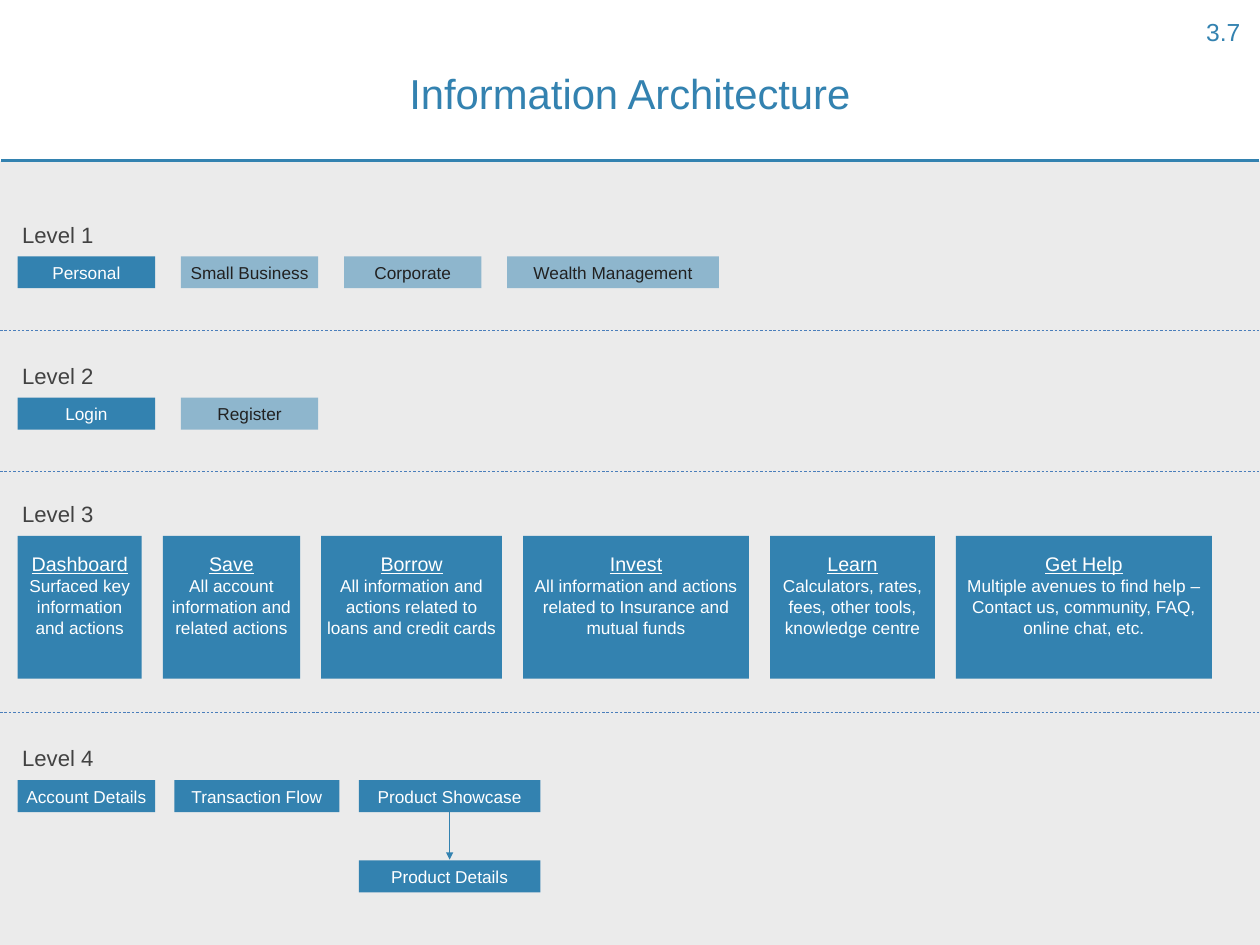
from dataclasses import dataclass

from lxml.etree import SubElement
from pptx import Presentation
from pptx.dml.color import RGBColor
from pptx.enum.dml import MSO_LINE
from pptx.enum.shapes import MSO_CONNECTOR, MSO_SHAPE
from pptx.enum.text import MSO_ANCHOR, PP_ALIGN
from pptx.oxml.ns import qn
from pptx.util import Pt


@dataclass(frozen=True)
class Theme:
    font: str = "Arial"
    blue: str = "3382B0"
    divider: str = "4A7EBB"
    panel: str = "EBEBEB"
    white: str = "FFFFFF"
    dark: str = "212121"
    label: str = "424242"
    title_size: int = 34
    number_size: int = 20
    label_size: int = 18
    heading_size: int = 16
    body_size: int = 14


THEME = Theme()
SLIDE_WIDTH, SLIDE_HEIGHT = 1024, 768
LEFT = 14.4
ROW_DROP = 32.3  # from the top of a level label to its boxes
BUTTON_HEIGHT = 26
CARD_HEIGHT = 116
BUTTON_WIDTH = 111.6
PANEL_TOP = 131

# Top of each level label
LEVEL_TOPS = {"Level 1": 176, "Level 2": 290.9, "Level 3": 403.2, "Level 4": 601.7}
DIVIDER_TOPS = (268.5, 383, 579)

# Buttons: text, width, whether it is on the selected route
LEVEL_1 = [
    ("Personal", BUTTON_WIDTH, True),
    ("Small Business", BUTTON_WIDTH, False),
    ("Corporate", BUTTON_WIDTH, False),
    ("Wealth Management", 172, False),
]
LEVEL_2 = [("Login", BUTTON_WIDTH, True), ("Register", BUTTON_WIDTH, False)]
LEVEL_4 = [
    ("Account Details", BUTTON_WIDTH, True),
    ("Transaction Flow", 134, True),
    ("Product Showcase", 147.6, True),
]

# Cards: heading, width, description
LEVEL_3 = [
    ("Dashboard", 100.8, "Surfaced key information and actions"),
    ("Save", 111.6, "All account information and related actions"),
    ("Borrow", 147, "All information and actions related to loans and credit cards"),
    ("Invest", 183.6, "All information and actions related to Insurance and mutual funds"),
    ("Learn", 134, "Calculators, rates, fees, other tools, knowledge centre"),
    ("Get Help", 208, "Multiple avenues to find help – Contact us, community, FAQ, online chat, etc."),
]


def row_lefts(widths, gap):
    """Left edges of boxes set side by side with an equal gap."""
    return [LEFT + sum(widths[:i]) + i * gap for i in range(len(widths))]


def set_frame(frame, anchor, inset=3.6, wrap=True):
    frame.word_wrap = wrap
    frame.vertical_anchor = anchor
    frame.margin_left = frame.margin_right = Pt(inset)
    frame.margin_top = frame.margin_bottom = Pt(inset)


def write(para, text, size, color, align):
    para.text = text
    para.alignment = align
    para.font.name = THEME.font
    para.font.size = Pt(size)
    para.font.color.rgb = RGBColor.from_string(color)


def add_text(page, text, left, top, width, height, size, color,
             align=PP_ALIGN.LEFT, anchor=MSO_ANCHOR.TOP, inset=3.6, wrap=True):
    box = page.shapes.add_textbox(Pt(left), Pt(top), Pt(width), Pt(height))
    set_frame(box.text_frame, anchor, inset, wrap)
    write(box.text_frame.paragraphs[0], text, size, color, align)


def add_block(page, left, top, width, height, color, opacity=100):
    box = page.shapes.add_shape(MSO_SHAPE.RECTANGLE, Pt(left), Pt(top), Pt(width), Pt(height))
    box.shadow.inherit = False
    box.fill.solid()
    box.fill.fore_color.rgb = RGBColor.from_string(color)
    box.line.fill.background()
    if opacity < 100:
        tint = box.fill._xPr.find(".//" + qn("a:srgbClr"))
        SubElement(tint, qn("a:alpha"), val=str(opacity * 1000))
    return box


def add_button(page, text, left, top, width, selected=True):
    box = add_block(page, left, top, width, BUTTON_HEIGHT, THEME.blue, 100 if selected else 50)
    set_frame(box.text_frame, MSO_ANCHOR.MIDDLE)
    color = THEME.white if selected else THEME.dark
    write(box.text_frame.paragraphs[0], text, THEME.body_size, color, PP_ALIGN.CENTER)


def add_button_row(page, buttons, top, gap):
    lefts = row_lefts([width for _, width, _ in buttons], gap)
    for left, (text, width, selected) in zip(lefts, buttons):
        add_button(page, text, left, top, width, selected)
    return lefts


def add_card(page, heading, description, left, top, width):
    box = add_block(page, left, top, width, CARD_HEIGHT, THEME.blue)
    frame = box.text_frame
    set_frame(frame, MSO_ANCHOR.TOP)
    title = frame.paragraphs[0]
    write(title, heading, THEME.heading_size, THEME.white, PP_ALIGN.CENTER)
    title.font.underline = True
    title.line_spacing = 1.5
    write(frame.add_paragraph(), description, THEME.body_size, THEME.white, PP_ALIGN.CENTER)


def add_line(page, start, end, color, weight, dash=None, arrow=False):
    line = page.shapes.add_connector(MSO_CONNECTOR.STRAIGHT, *map(Pt, start + end))
    line.line.color.rgb = RGBColor.from_string(color)
    line.line.width = Pt(weight)
    if dash:
        line.line.dash_style = dash
    if arrow:
        SubElement(line.line._get_or_add_ln(), qn("a:tailEnd"), type="triangle")
    SubElement(line._element.spPr, qn("a:effectLst"))


def main():
    deck = Presentation()
    deck.slide_width, deck.slide_height = Pt(SLIDE_WIDTH), Pt(SLIDE_HEIGHT)
    page = deck.slides.add_slide(deck.slide_layouts[6])

    # Background panel and level dividers
    add_block(page, 0, PANEL_TOP, SLIDE_WIDTH, SLIDE_HEIGHT - PANEL_TOP, THEME.panel)
    for top in DIVIDER_TOPS:
        add_line(page, (0, top), (SLIDE_WIDTH, top), THEME.divider, 0.5, MSO_LINE.DASH)

    # Header
    add_text(page, "Information Architecture", 188, 51.5, 648, 49,
             THEME.title_size, THEME.blue, PP_ALIGN.CENTER)
    add_line(page, (1, 130.3), (SLIDE_WIDTH - 1, 130.3), THEME.blue, 2)
    add_text(page, "3.7", 975, 9.4, 36, 32.4, THEME.number_size, THEME.blue,
             PP_ALIGN.RIGHT, MSO_ANCHOR.MIDDLE, 2.9, False)

    # Level labels
    for text, top in LEVEL_TOPS.items():
        add_text(page, text, LEFT, top, 96.5, 32.4, THEME.label_size, THEME.label)
    row_tops = {text: top + ROW_DROP for text, top in LEVEL_TOPS.items()}

    # Levels 1 and 2
    add_button_row(page, LEVEL_1, row_tops["Level 1"], 21)
    add_button_row(page, LEVEL_2, row_tops["Level 2"], 21)

    # Level 3
    card_lefts = row_lefts([width for _, width, _ in LEVEL_3], 17.1)
    for left, (heading, width, description) in zip(card_lefts, LEVEL_3):
        add_card(page, heading, description, left, row_tops["Level 3"], width)

    # Level 4, with the showcase leading to its details
    showcase_top = row_tops["Level 4"]
    details_top = showcase_top + 65.3
    showcase_left = add_button_row(page, LEVEL_4, showcase_top, 15.8)[-1]
    showcase_width = LEVEL_4[-1][1]
    add_button(page, "Product Details", showcase_left, details_top, showcase_width)
    middle = showcase_left + showcase_width / 2
    add_line(page, (middle, showcase_top + BUTTON_HEIGHT), (middle, details_top - 0.7),
             THEME.blue, 0.75, arrow=True)

    deck.save("out.pptx")


if __name__ == "__main__":
    main()
